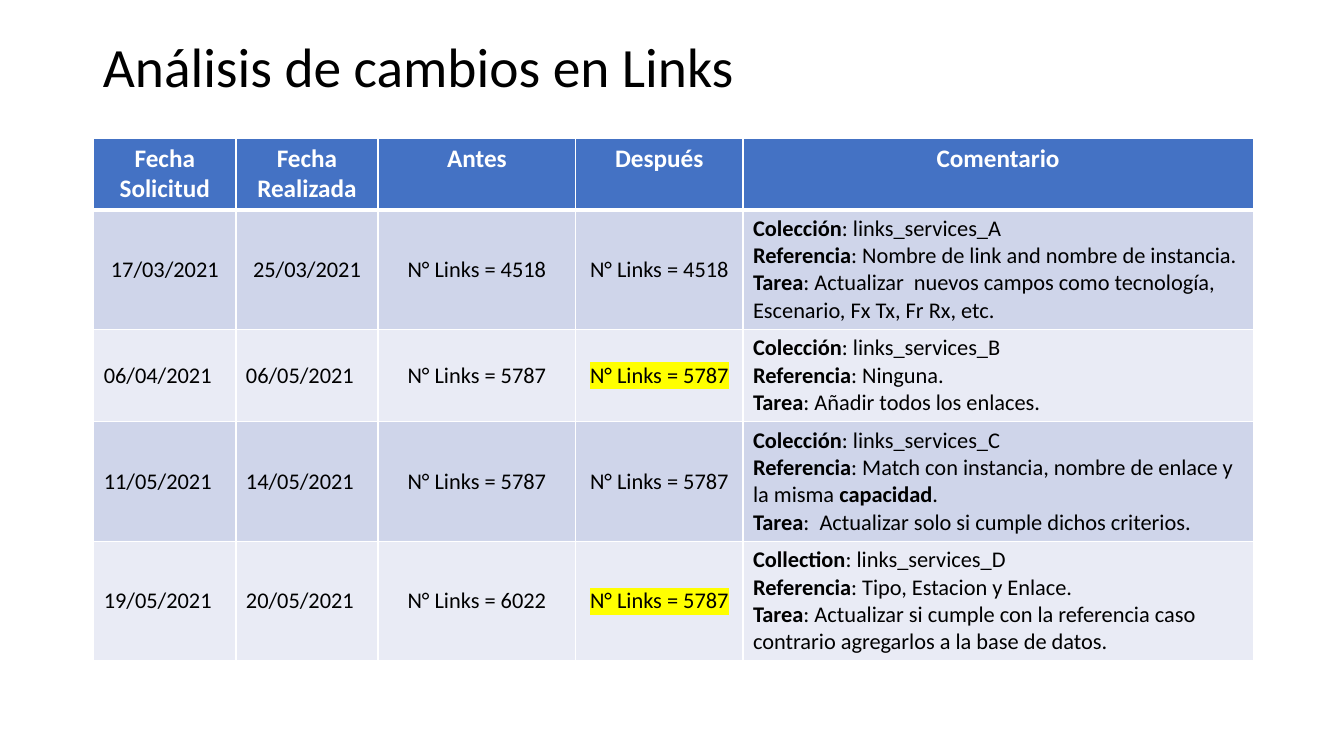
from dataclasses import dataclass

from lxml import etree
from pptx import Presentation
from pptx.dml.color import RGBColor
from pptx.enum.text import MSO_ANCHOR, MSO_AUTO_SIZE, PP_ALIGN
from pptx.oxml.ns import qn
from pptx.util import Pt

LEFT, CENTER = PP_ALIGN.LEFT, PP_ALIGN.CENTER
TOP, MIDDLE = MSO_ANCHOR.TOP, MSO_ANCHOR.MIDDLE
NO_FIT = MSO_AUTO_SIZE.NONE
TITLE_ONLY = 5
PX = 9144  # 100 px to the inch


@dataclass(frozen=True)
class Theme:
    font: str = "Calibri"
    ink: str = "000000"
    white: str = "FFFFFF"
    head: str = "4472C4"
    bands: tuple = ("CFD5EA", "E9EBF5")
    mark: str = "FFFF00"
    title_size: float = 39.6
    head_size: int = 18
    body_size: int = 16
    thin: int = 1
    thick: int = 3


THEME = Theme()

WIDTHS = [141, 141, 196, 166, 506]
HEIGHTS = [70, 118, 91, 118, 118]
HEADS = ["Fecha Solicitud", "Fecha Realizada", "Antes", "Después", "Comentario"]

# Asterisks enclose bold words
ROWS = [
    ["17/03/2021", "25/03/2021", "N° Links = 4518", "N° Links = 4518",
     "*Colección*: links_services_A\n"
     "*Referencia*: Nombre de link and nombre de instancia.\n"
     "*Tarea*: Actualizar  nuevos campos como tecnología, Escenario, Fx Tx, Fr Rx, etc."],
    ["06/04/2021", "06/05/2021", "N° Links = 5787", "N° Links = 5787",
     "*Colección*: links_services_B\n"
     "*Referencia*: Ninguna.\n"
     "*Tarea*: Añadir todos los enlaces."],
    ["11/05/2021", "14/05/2021", "N° Links = 5787", "N° Links = 5787",
     "*Colección*: links_services_C\n"
     "*Referencia*: Match con instancia, nombre de enlace y la misma *capacidad*.\n"
     "*Tarea*:  Actualizar solo si cumple dichos criterios."],
    ["19/05/2021", "20/05/2021", "N° Links = 6022", "N° Links = 5787",
     "*Collection*: links_services_D\n"
     "*Referencia*: Tipo, Estacion y Enlace.\n"
     "*Tarea*: Actualizar si cumple con la referencia caso contrario agregarlos a la base de datos."],
]
MARKED = {(2, 3), (4, 3)}  # row and column of highlighted cells


def style(run, size, color, bold=False):
    font = run.font
    font.name, font.size, font.bold = THEME.font, Pt(size), bold
    font.color.rgb = RGBColor.from_string(color)


def mark(run):
    """Highlight a styled run."""
    fill = run._r.get_or_add_rPr().find(qn("a:solidFill"))
    light = etree.Element(qn("a:highlight"))
    etree.SubElement(light, qn("a:srgbClr"), val=THEME.mark)
    fill.addnext(light)


def border(cell, top, bottom):
    """Draw white cell borders; this goes before the cell fill."""
    props = cell._tc.get_or_add_tcPr()
    sides = {"L": THEME.thin, "R": THEME.thin, "T": top, "B": bottom}
    for side, width in sides.items():
        line = etree.SubElement(props, qn(f"a:ln{side}"), w=str(Pt(width)))
        fill = etree.SubElement(line, qn("a:solidFill"))
        etree.SubElement(fill, qn("a:srgbClr"), val=THEME.white)


def paint(cell, color):
    cell.fill.solid()
    cell.fill.fore_color.rgb = RGBColor.from_string(color)


def write(cell, text, size, color, align, bold=False):
    """Fill a cell, with the words between asterisks in bold."""
    frame = cell.text_frame
    frame.text = text.replace("*", "")
    for para, line in zip(frame.paragraphs, text.split("\n")):
        para.alignment = align
        parts = line.split("*")
        if len(parts) > 1:
            para.clear()
            for i, part in enumerate(parts):
                if part:
                    run = para.add_run()
                    run.text = part
                    style(run, size, color, i % 2 == 1)
        else:
            style(para.runs[0], size, color, bold)


def add_title(slide, text):
    title = slide.shapes.title
    title.left, title.top = 92 * PX, 40 * PX
    title.width, title.height = 1150 * PX, 58 * PX
    frame = title.text_frame
    frame.text = text
    frame.auto_size = NO_FIT
    frame.vertical_anchor = MIDDLE
    para = frame.paragraphs[0]
    para.alignment, para.line_spacing = LEFT, 0.9
    style(para.runs[0], THEME.title_size, THEME.ink)


def add_grid(slide):
    frame = slide.shapes.add_table(
        len(HEIGHTS), len(WIDTHS), 93 * PX, 137 * PX,
        sum(WIDTHS) * PX, sum(HEIGHTS) * PX)
    table = frame.table
    table.horz_banding = False
    for col, width in zip(table.columns, WIDTHS):
        col.width = width * PX
    for row, height in zip(table.rows, HEIGHTS):
        row.height = height * PX

    # Header row
    for c, text in enumerate(HEADS):
        cell = table.cell(0, c)
        border(cell, THEME.thin, THEME.thick)
        paint(cell, THEME.head)
        cell.vertical_anchor = TOP
        write(cell, text, THEME.head_size, THEME.white, CENTER, True)

    # Body rows
    for r, texts in enumerate(ROWS, 1):
        for c, text in enumerate(texts):
            cell = table.cell(r, c)
            border(cell, THEME.thick if r == 1 else THEME.thin, THEME.thin)
            paint(cell, THEME.bands[(r - 1) % 2])
            cell.vertical_anchor = MIDDLE
            mid = c in (2, 3) or (r == 1 and c < 2)
            write(cell, text, THEME.body_size, THEME.ink, CENTER if mid else LEFT)
            if (r, c) in MARKED:
                mark(cell.text_frame.paragraphs[0].runs[0])


def main():
    deck = Presentation()
    deck.slide_width, deck.slide_height = 1333 * PX, 750 * PX
    slide = deck.slides.add_slide(deck.slide_layouts[TITLE_ONLY])
    add_title(slide, "Análisis de cambios en Links")
    add_grid(slide)
    deck.save("out.pptx")


if __name__ == "__main__":
    main()
